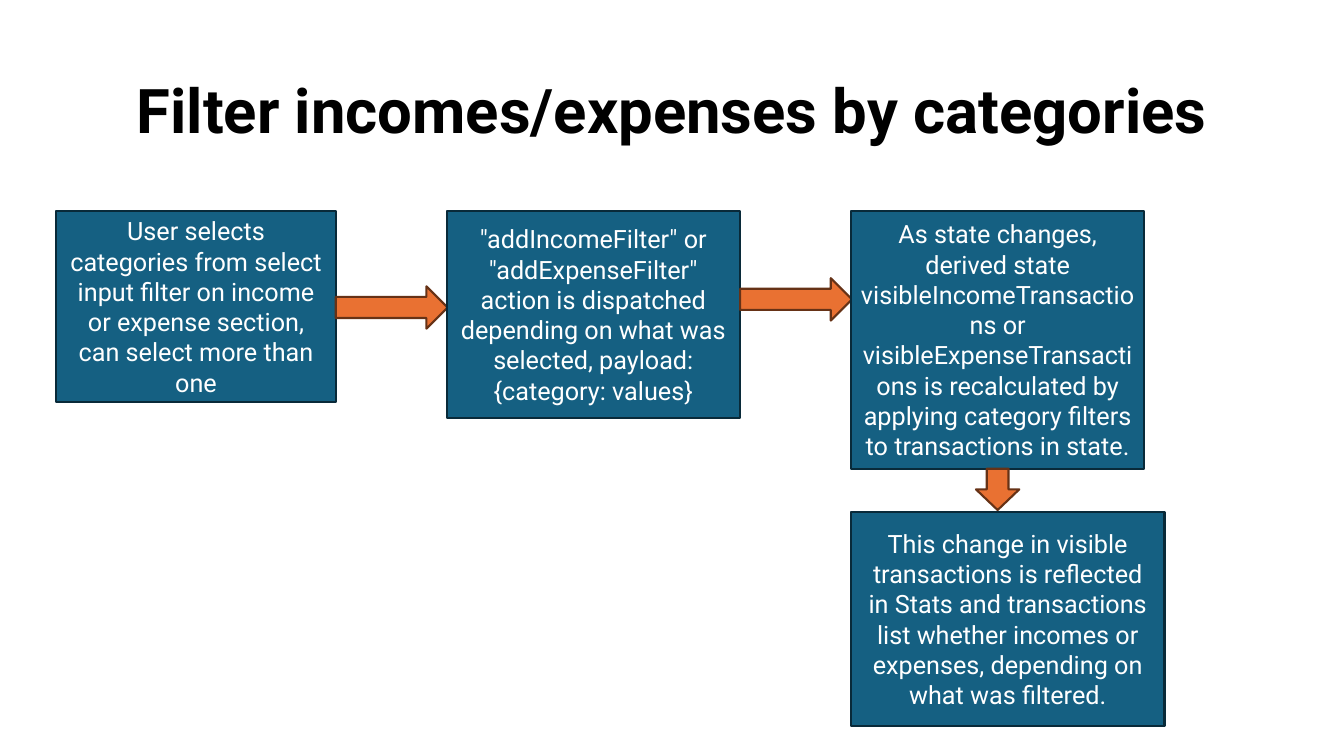
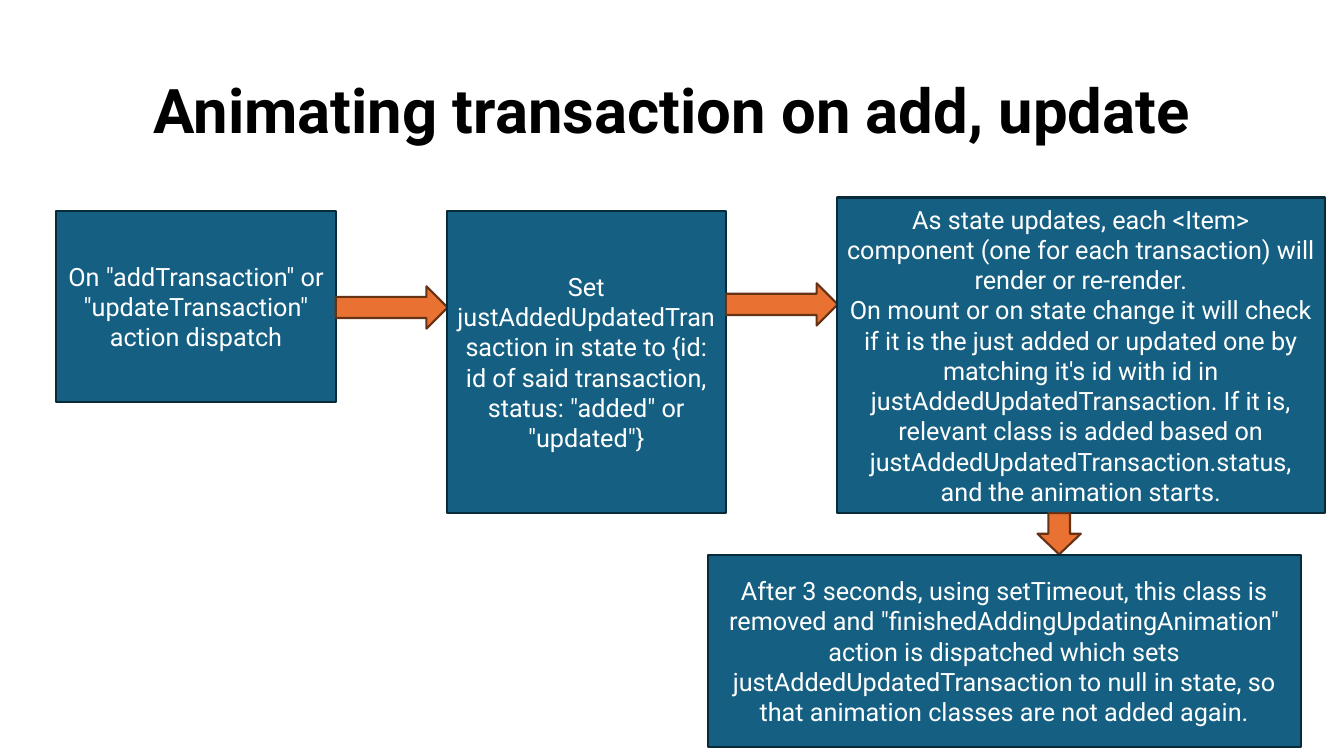
from pptx import Presentation
from pptx import util as u
from pptx.dml.color import RGBColor
from pptx.enum import shapes, text

BLACK = RGBColor(0x00, 0x00, 0x00)
WHITE = RGBColor(0xFF, 0xFF, 0xFF)
BLUE = RGBColor(0x15, 0x60, 0x82)
NAVY = RGBColor(0x09, 0x2A, 0x39)
ORANGE = RGBColor(0xE9, 0x71, 0x32)
BROWN = RGBColor(0x66, 0x32, 0x16)

KIND = shapes.MSO_SHAPE
TITLE = {"name": "Roboto", "size": u.Pt(44), "bold": True}
BODY = {"name": "Roboto", "size": u.Pt(18), "bold": False}
FRAME = {"word_wrap": True, "vertical_anchor": text.MSO_ANCHOR.MIDDLE}


def apply(item, values):
    for key, value in values.items():
        setattr(item, key, value)


class Deck:
    """Holds the shared style and the current slide."""

    def __init__(self):
        self.prs = Presentation()
        apply(self.prs, {"slide_width": u.Inches(13.33),
                         "slide_height": u.Inches(7.5)})
        self.slide = None

    def label(self, shape, lines, font, color, para):
        frame = shape.text_frame
        apply(frame, FRAME)
        frame.text = "\n".join(lines)
        for p in frame.paragraphs:
            apply(p, {"alignment": text.PP_ALIGN.CENTER, **para})
            for run in p.runs:
                apply(run.font, font)
                run.font.color.rgb = color

    def page(self, title):
        self.slide = self.prs.slides.add_slide(self.prs.slide_layouts[6])
        box = self.slide.shapes.add_textbox(
            u.Inches(0.92), u.Inches(0.4), u.Inches(11.5), u.Inches(1.45))
        self.label(box, [title], TITLE, BLACK, {"line_spacing": 0.9})

    def shape(self, kind, spot, fill, edge):
        item = self.slide.shapes.add_shape(kind, *spot)
        item.shadow.inherit = False
        item.fill.solid()
        item.fill.fore_color.rgb = fill
        item.line.color.rgb = edge
        item.line.width = u.Pt(1.5)
        return item

    def step(self, spot, *lines):
        box = self.shape(KIND.FLOWCHART_PROCESS, map(u.Inches, spot),
                         BLUE, NAVY)
        self.label(box, lines, BODY, WHITE, {})
        return box

    def right(self, box, top):
        """Arrow that starts at the right edge of a box."""
        spot = (box.left + box.width, u.Inches(top),
                u.Inches(1.11), u.Inches(0.42))
        self.shape(KIND.RIGHT_ARROW, spot, ORANGE, BROWN)

    def down(self, box, left):
        """Arrow that starts at the lower edge of a box."""
        spot = (u.Inches(left), box.top + box.height,
                u.Inches(0.43), u.Inches(0.41))
        self.shape(KIND.DOWN_ARROW, spot, ORANGE, BROWN)


def filters(deck):
    deck.page("Filter incomes/expenses by categories")

    # Selection and dispatch
    pick = deck.step(
        (0.56, 2.09, 2.77, 1.9),
        "User selects categories from select input filter on income or "
        "expense section, can select more than one")
    deck.right(pick, 2.84)
    action = deck.step(
        (4.43, 2.09, 2.91, 2.06),
        '"addIncomeFilter" or "addExpenseFilter" action is dispatched '
        "depending on what was selected, payload: {category: values}")
    deck.right(action, 2.76)

    # State change and its result
    state = deck.step(
        (8.44, 2.09, 2.91, 2.56),
        "As state changes, derived state visibleIncomeTransactions or "
        "visibleExpenseTransactions is recalculated by applying category "
        "filters to transactions in state.")
    deck.down(state, 9.68)
    deck.step(
        (8.44, 5.08, 3.11, 2.12),
        "This change in visible transactions is reflected in Stats and "
        "transactions list whether incomes or expenses, depending on what "
        "was filtered.")


def motion(deck):
    deck.page("Animating transaction on add, update")

    # Dispatch and stored status
    action = deck.step(
        (0.56, 2.09, 2.77, 1.9),
        'On "addTransaction" or "updateTransaction" action dispatch')
    deck.right(action, 2.84)
    status = deck.step(
        (4.43, 2.09, 2.77, 3),
        "Set justAddedUpdatedTransaction in state to {id: id of said "
        'transaction, status: "added" or "updated"}')
    deck.right(status, 2.81)

    # Render and clean-up
    render = deck.step(
        (8.3, 1.96, 4.84, 3.13),
        "As state updates, each <Item> component (one for each transaction) "
        "will render or re-render.",
        "On mount or on state change it will check if it is the just added "
        "or updated one by matching it's id with id in "
        "justAddedUpdatedTransaction. If it is, relevant class is added "
        "based on justAddedUpdatedTransaction.status, and the animation "
        "starts.")
    deck.down(render, 10.29)
    deck.step(
        (7.02, 5.51, 5.88, 1.9),
        "After 3 seconds, using setTimeout, this class is removed and "
        '"finishedAddingUpdatingAnimation" action is dispatched which sets '
        "justAddedUpdatedTransaction to null in state, so that animation "
        "classes are not added again.")


def main():
    deck = Deck()
    filters(deck)
    motion(deck)
    deck.prs.save("out.pptx")


if __name__ == "__main__":
    main()
